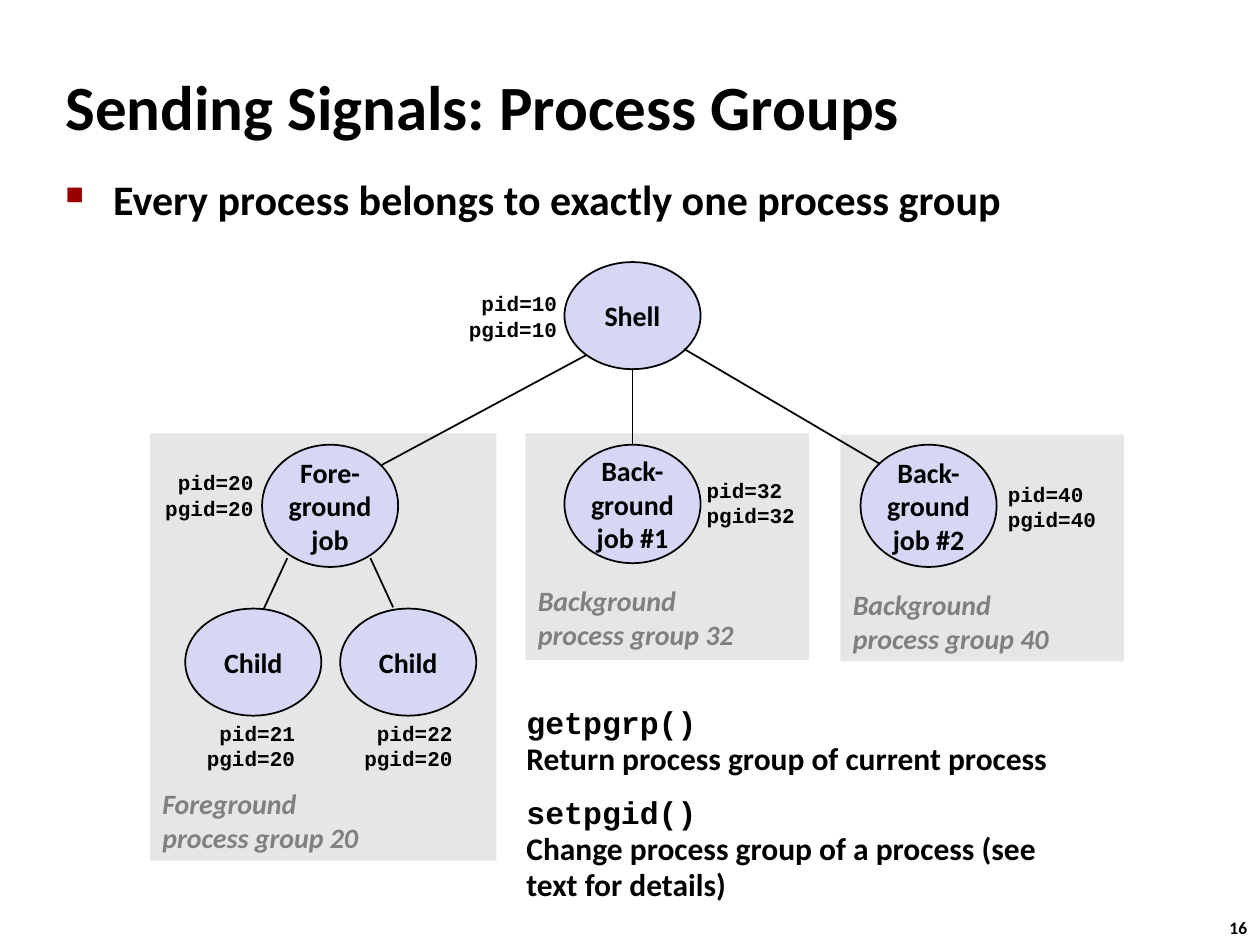
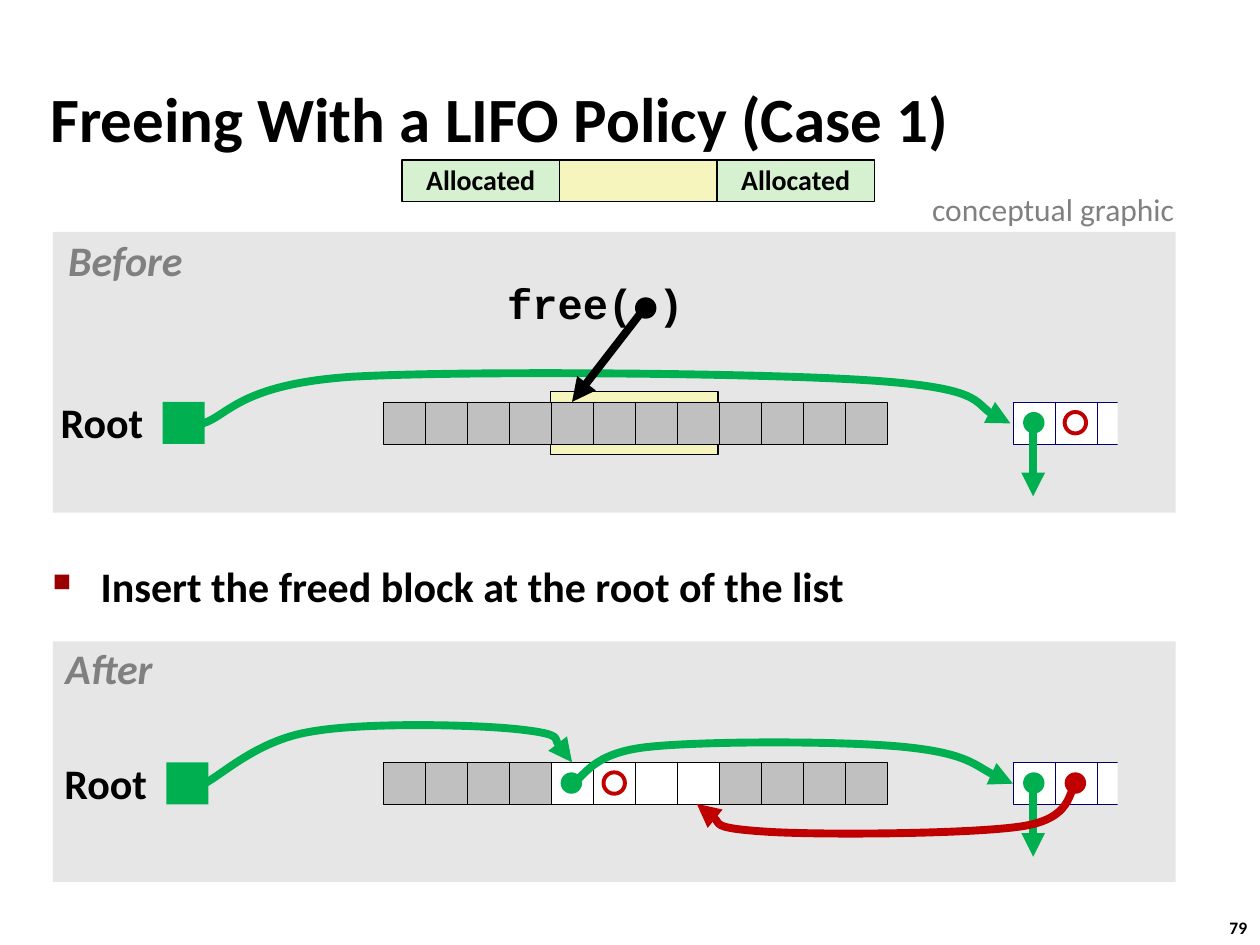
import dataclasses

import lxml.etree
import pptx
import pptx.dml.color
import pptx.enum.shapes
import pptx.enum.text
import pptx.oxml.ns
import pptx.util

Inches = pptx.util.Inches
Pt = pptx.util.Pt
qn = pptx.oxml.ns.qn
SHAPE = pptx.enum.shapes.MSO_SHAPE
ALIGN = pptx.enum.text.PP_ALIGN
ANCHOR = pptx.enum.text.MSO_ANCHOR


@dataclasses.dataclass(frozen=True)
class TextStyle:
    size: int
    colour: str = "000000"
    font: str = "Calibri"
    bold: bool = True
    italic: bool = False


@dataclasses.dataclass(frozen=True)
class Theme:
    black: str = "000000"
    white: str = "FFFFFF"
    panel: str = "E6E6E6"
    process: str = "D6D6F5"
    allocated: str = "D5F1CF"
    freed: str = "F6F5BD"
    used_cell: str = "C0C0C0"
    list_edge: str = "000066"
    next_link: str = "00B050"
    prev_link: str = "C00000"
    bullet: str = "990000"
    title: TextStyle = TextStyle(36)
    body: TextStyle = TextStyle(24)
    label: TextStyle = TextStyle(16)
    group: TextStyle = TextStyle(16, "808080", italic=True)
    state: TextStyle = TextStyle(24, "808080", italic=True)
    note: TextStyle = TextStyle(18, "808080", bold=False)
    text: TextStyle = TextStyle(18)
    call: TextStyle = TextStyle(18, font="Courier New")
    big_call: TextStyle = TextStyle(24, font="Courier New")
    ids: TextStyle = TextStyle(12, font="Courier New")
    number: TextStyle = TextStyle(10)


THEME = Theme()
CELL = 1 / 3
DOT = 0.17


def rgb(colour):
    return pptx.dml.color.RGBColor.from_string(colour)


def style_font(font, style):
    font.name = style.font
    font.size = Pt(style.size)
    font.bold = style.bold
    font.italic = style.italic
    font.color.rgb = rgb(style.colour)


def write(frame, text, style, align=ALIGN.LEFT, spacing=None, anchor=ANCHOR.MIDDLE, wrap=False):
    frame.text = text
    frame.word_wrap = wrap
    frame.vertical_anchor = anchor
    for para in frame.paragraphs:
        para.alignment = align
        para.line_spacing = spacing
        for span in para.runs:
            style_font(span.font, style)


def add_text(page, at, text, style, inset=0.1, **layout):
    box = page.shapes.add_textbox(*map(Inches, at))
    frame = box.text_frame
    frame.margin_left = frame.margin_right = Inches(inset)
    write(frame, text, style, **layout)
    return frame


def add_figure(shapes, kind, at, fill=None, edge=None, weight=1.0):
    figure = shapes.add_shape(kind, *map(Inches, at))
    figure.shadow.inherit = False
    if fill:
        figure.fill.solid()
        figure.fill.fore_color.rgb = rgb(fill)
    else:
        figure.fill.background()
    if edge:
        figure.line.color.rgb = rgb(edge)
        figure.line.width = Pt(weight)
    else:
        figure.line.fill.background()
    return figure


def add_arrowhead(line):
    outline = line.element.spPr.find(qn("a:ln"))
    lxml.etree.SubElement(outline, qn("a:tailEnd"), type="triangle")


def add_line(page, start, end, colour=THEME.black, weight=1.0, arrow=False):
    straight = pptx.enum.shapes.MSO_CONNECTOR.STRAIGHT
    line = page.shapes.add_connector(straight, *map(Inches, start + end))
    line.line.color.rgb = rgb(colour)
    line.line.width = Pt(weight)
    lxml.etree.SubElement(line.element.spPr, qn("a:effectLst"))
    if arrow:
        add_arrowhead(line)


def add_curved_arrow(page, points, colour):
    """Draw cubic curves: a start, then two control points and an end for each."""
    spots = [tuple(map(Inches, point)) for point in points]
    builder = page.shapes.build_freeform(*spots[0])
    builder.add_line_segments(spots[1:], close=False)
    curve = builder.convert_to_shape()
    outline = next(curve.element.iter(qn("a:path")))
    steps = outline.findall(qn("a:lnTo"))
    for first in range(0, len(steps), 3):
        bend = lxml.etree.SubElement(outline, qn("a:cubicBezTo"))
        for step in steps[first:first + 3]:
            bend.append(step[0])
            outline.remove(step)
    curve.shadow.inherit = False
    curve.fill.background()
    curve.line.color.rgb = rgb(colour)
    curve.line.width = Pt(4.5)
    add_arrowhead(curve)


def add_title(page, at, text):
    add_text(page, at, text, THEME.title, wrap=True)


def add_bullet(page, at, text):
    frame = add_text(page, at, text, THEME.body, anchor=ANCHOR.TOP, wrap=True)
    props = frame.paragraphs[0]._p.get_or_add_pPr()
    props.set("marL", str(Inches(0.38)))
    props.set("indent", str(-Inches(0.38)))
    colour = lxml.etree.SubElement(props, qn("a:buClr"))
    lxml.etree.SubElement(colour, qn("a:srgbClr"), val=THEME.bullet)
    lxml.etree.SubElement(props, qn("a:buSzPct"), val="60000")
    lxml.etree.SubElement(props, qn("a:buChar"), char="■")


def add_page(deck, number):
    page = deck.slides.add_slide(deck.slide_layouts[6])
    add_text(page, (9.66, 7.23, 0.37, 0.27), str(number), THEME.number)
    return page


def add_panel(page, at):
    add_figure(page.shapes, SHAPE.RECTANGLE, at, THEME.panel)


def add_process(page, left, top, height, name):
    oval = add_figure(page.shapes, SHAPE.OVAL, (left, top, 1.08, height), THEME.process, THEME.black)
    write(oval.text_frame, name, THEME.label, ALIGN.CENTER)


def add_ids(page, left, top, pid, pgid, align):
    add_text(page, (left, top, 0.91, 0.5), f"pid={pid}\npgid={pgid}", THEME.ids, align=align)


def add_functions(page, at, entries):
    """List each function call in code type over its description."""
    text = "\n".join(f"{call}\v{meaning}" for call, meaning in entries)
    frame = add_text(page, at, text, THEME.text, spacing=0.95, anchor=ANCHOR.TOP, wrap=True)
    for index, para in enumerate(frame.paragraphs):
        para.space_before = Pt(10.5 if index else 0)
        style_font(para.runs[0].font, THEME.call)


def build_process_groups(deck):
    page = add_page(deck, 16)
    groups = [
        ((6.67, 3.45, 2.25, 1.8), (6.67, 4.61, 1.78, 0.64), "Background\nprocess group 40"),
        ((4.17, 3.44, 2.25, 1.8), (4.17, 4.58, 1.78, 0.64), "Background\nprocess group 32"),
        ((1.19, 3.44, 2.75, 3.39), (1.19, 6.19, 1.93, 0.64), "Foreground\nprocess group 20"),
    ]
    for panel, caption, text in groups:
        add_panel(page, panel)
        add_text(page, caption, text, THEME.group)
    add_title(page, (0.42, 0.42, 8.3, 0.83), "Sending Signals: Process Groups")
    add_bullet(page, (0.42, 1.33, 8.44, 0.67), "Every process belongs to exactly one process group")
    for process in [
        (2.08, 3.53, 0.97, "Fore-\nground\njob"),
        (4.48, 3.53, 0.94, "Back-\nground\njob #1"),
        (6.83, 3.53, 0.97, "Back-\nground\njob #2"),
        (4.48, 2.08, 0.85, "Shell"),
        (1.47, 4.83, 0.85, "Child"),
        (2.7, 4.83, 0.85, "Child"),
    ]:
        add_process(page, *process)
    for start, end in [
        ((2.28, 4.43), (2.09, 4.84)),
        ((2.94, 4.43), (3.12, 4.82)),
        ((5.02, 2.92), (5.02, 3.53)),
        ((4.65, 2.82), (3.03, 3.69)),
        ((5.43, 2.77), (6.98, 3.68)),
    ]:
        add_line(page, start, end)
    for ids in [
        (3.61, 2.26, 10, 10, ALIGN.RIGHT),
        (1.2, 3.68, 20, 20, ALIGN.RIGHT),
        (5.51, 3.74, 32, 32, ALIGN.LEFT),
        (7.9, 3.77, 40, 40, ALIGN.LEFT),
        (1.53, 5.67, 21, 20, ALIGN.RIGHT),
        (2.78, 5.67, 22, 20, ALIGN.RIGHT),
    ]:
        add_ids(page, *ids)
    add_functions(page, (4.08, 5.55, 4.5, 1.7), [
        ("getpgrp()", "Return process group of current process"),
        ("setpgid()", "Change process group of a process (see text for details)"),
    ])


def add_cells(shapes, left, top, fills, edge):
    for index, fill in enumerate(fills):
        at = (left + index * CELL, top, CELL, CELL)
        add_figure(shapes, SHAPE.RECTANGLE, at, fill, edge, 0.25)


def add_dot(page, left, top, colour):
    add_figure(page.shapes, SHAPE.OVAL, (left, top, DOT, DOT), colour)


def add_ring(page, left, top):
    """Mark an empty previous link."""
    add_figure(page.shapes, SHAPE.OVAL, (left, top, DOT, DOT), edge=THEME.prev_link, weight=2.25)


def add_list_state(page, top, root_left, freed_fill):
    """Draw the root, the heap row and the first block of the free list."""
    used = [THEME.used_cell] * 4
    add_text(page, (root_left - 0.86, top - 0.05, 0.76, 0.47), "Root", THEME.body,
             inset=0.05, align=ALIGN.CENTER, spacing=0.9)
    add_figure(page.shapes, SHAPE.RECTANGLE, (root_left, top, CELL, CELL), THEME.next_link)
    add_cells(page.shapes, 3.04, top, used + [freed_fill] * 4 + used, THEME.black)
    block = page.shapes.add_group_shape().shapes
    add_cells(block, 8.04, top, [THEME.white] * 3, THEME.list_edge)
    add_figure(block, SHAPE.RECTANGLE, (8.87, top - 0.08, CELL, 0.5), THEME.panel)
    add_dot(page, 8.12, top + 0.08, THEME.next_link)
    add_line(page, (8.2, top + 0.17), (8.2, top + 0.75), THEME.next_link, 4.5, arrow=True)


def add_state_name(page, at, name):
    add_text(page, at, name, THEME.state, inset=0.05, align=ALIGN.CENTER, spacing=0.9)


def add_neighbours(page):
    """Show the freed block between two allocated ones."""
    strip = page.shapes.add_group_shape().shapes
    blocks = [("", THEME.freed, 1), ("Allocated", THEME.allocated, 0), ("Allocated", THEME.allocated, 2)]
    for name, fill, slot in blocks:
        at = (3.19 + slot * 1.25, 1.27, 1.25, 0.33)
        block = add_figure(strip, SHAPE.RECTANGLE, at, fill, THEME.black)
        if name:
            write(block.text_frame, name, THEME.label, ALIGN.CENTER, 0.98)


def build_lifo_free(deck):
    page = add_page(deck, 79)
    before, after = 3.19, 6.05
    add_panel(page, (0.42, 5.09, 8.91, 1.91))
    add_panel(page, (0.42, 1.84, 8.91, 2.23))
    add_title(page, (0.3, 0.5, 9.53, 0.86), "Freeing With a LIFO Policy (Case 1)")
    add_bullet(page, (0.32, 4.4, 9.09, 0.61), "Insert the freed block at the root of the list")
    add_neighbours(page)
    add_text(page, (7.3, 1.46, 2.17, 0.4), "conceptual graphic", THEME.note)

    add_state_name(page, (0.48, 1.85, 1.03, 0.47), "Before")
    add_figure(page.shapes, SHAPE.RECTANGLE, (4.37, 3.11, 1.33, 0.5), THEME.freed, THEME.black, 0.75)
    add_curved_arrow(page, [
        (1.61, 3.36), (1.81, 3.3), (1.9, 3.05), (2.79, 2.99), (3.67, 2.94),
        (6.05, 2.96), (6.92, 3.02), (7.79, 3.08), (7.79, 3.29), (8.02, 3.36),
    ], THEME.next_link)
    add_list_state(page, before, 1.29, THEME.used_cell)
    add_ring(page, 8.45, before + 0.08)
    add_text(page, (3.97, 2.19, 1.51, 0.47), "free( )", THEME.big_call,
             inset=0.05, align=ALIGN.CENTER, spacing=0.9)
    add_dot(page, 5.04, 2.36, THEME.black)
    add_line(page, (5.12, 2.44), (4.54, before), THEME.black, 4.5, arrow=True)

    add_state_name(page, (0.46, 5.09, 0.81, 0.47), "After")
    add_list_state(page, after, 1.32, THEME.white)
    add_dot(page, 4.45, after + 0.08, THEME.next_link)
    add_dot(page, 8.45, after + 0.08, THEME.prev_link)
    add_ring(page, 4.79, after + 0.08)
    add_curved_arrow(page, [
        (4.54, 6.22), (4.64, 6.17), (4.69, 5.98), (5.13, 5.93), (5.57, 5.88),
        (6.71, 5.88), (7.19, 5.93), (7.67, 5.98), (7.86, 6.16), (8.04, 6.22),
    ], THEME.next_link)
    add_curved_arrow(page, [
        (8.54, 6.23), (8.47, 6.28), (8.52, 6.5), (8.1, 6.56), (7.69, 6.62),
        (6.49, 6.63), (6.06, 6.6), (5.63, 6.57), (5.64, 6.43), (5.53, 6.38),
    ], THEME.prev_link)
    add_curved_arrow(page, [
        (1.62, 6.22), (1.76, 6.15), (2.04, 5.88), (2.45, 5.81), (2.87, 5.73),
        (3.78, 5.75), (4.13, 5.79), (4.48, 5.83), (4.46, 5.99), (4.54, 6.05),
    ], THEME.next_link)


def main():
    deck = pptx.Presentation()
    deck.slide_width = Inches(10)
    deck.slide_height = Inches(7.5)
    build_process_groups(deck)
    build_lifo_free(deck)
    deck.save("out.pptx")


if __name__ == "__main__":
    main()
